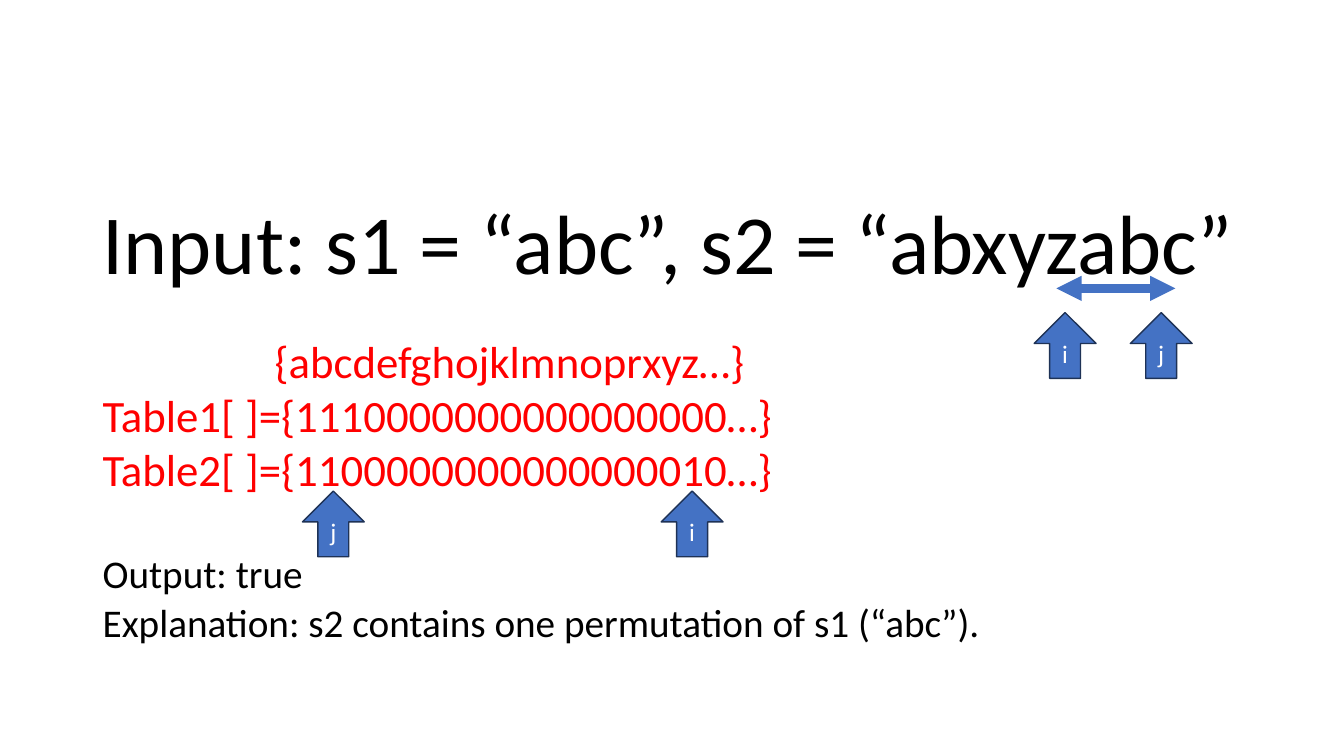
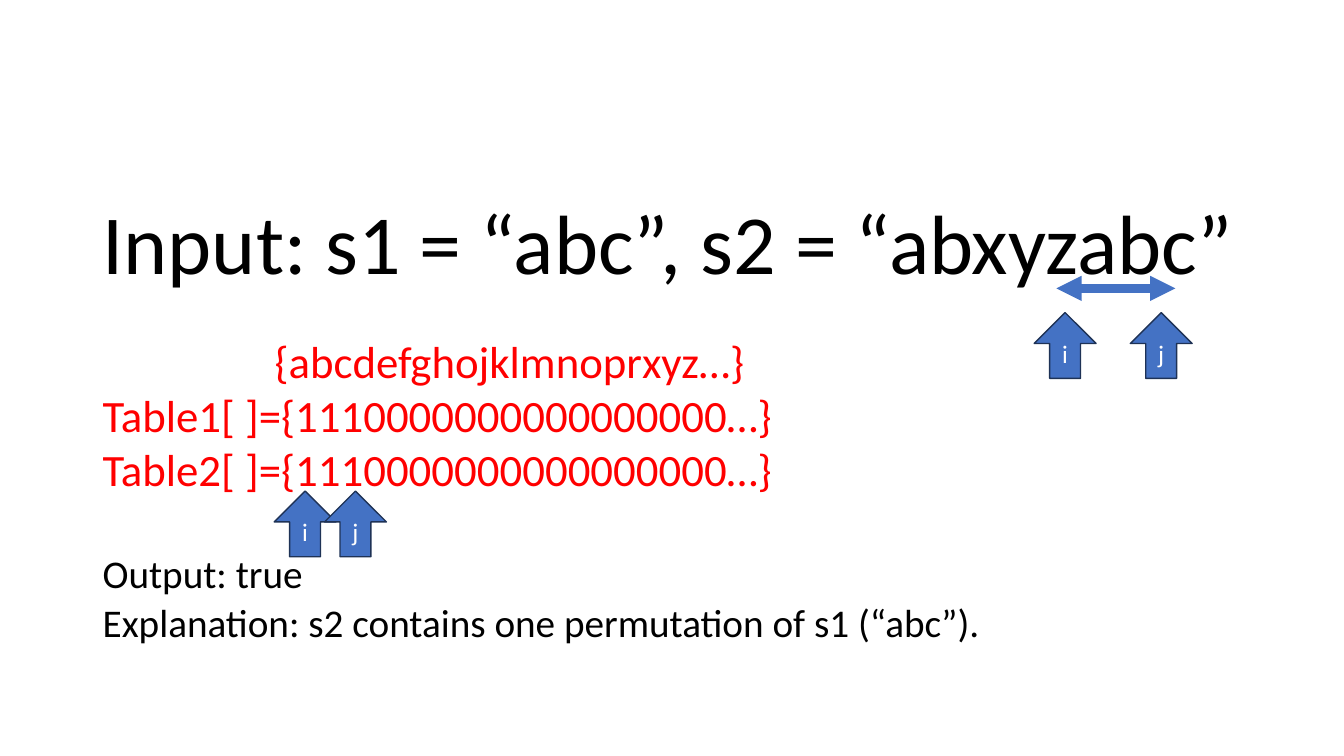
"""Build two slides that trace a sliding window over a string."""
from lxml import etree
from pptx import Presentation
from pptx.dml.color import RGBColor
from pptx.enum.shapes import MSO_CONNECTOR, MSO_SHAPE
from pptx.enum.text import PP_ALIGN
from pptx.oxml.ns import qn
from pptx.util import Inches, Pt

LINE = MSO_CONNECTOR.STRAIGHT
ARROW = MSO_SHAPE.UP_ARROW
MID = PP_ALIGN.CENTER
BLUE, EDGE, RED, BLACK, WHITE = "4472C4", "1E3256", "FF0000", "000000", "FFFFFF"

deck = Presentation()
deck.slide_width, deck.slide_height = Inches(13.33), Inches(7.5)
COL, ROW = deck.slide_width / 100, deck.slide_height / 100


def grid(*spots):
    """Turn alternating column and row counts into lengths."""
    return [int(spot * (ROW if n % 2 else COL)) for n, spot in enumerate(spots)]


def write(frame, rows, size, color, **form):
    """Fill a frame with (text, format) rows."""
    for n, (text, own) in enumerate(rows):
        para = frame.paragraphs[0] if n == 0 else frame.add_paragraph()
        style = {"size": size, **form, **own}
        if "indent" in style:
            para._p.get_or_add_pPr().set("marL", str(int(style["indent"] * COL)))
        for name in ("alignment", "space_before"):
            if name in style:
                setattr(para, name, style[name])
        run = para.add_run()
        run.text = text
        run.font.name = "Calibri"
        run.font.size = Pt(style["size"])
        run.font.color.rgb = RGBColor.from_string(color)


BODY = [
    ("Input: s1 = “abc”, s2 = “abxyzabc”", {"size": 60}),
    ("Output: true", {"space_before": Pt(184)}),
    ("Explanation: s2 contains one permutation of s1 (“abc”).", {"space_before": Pt(2)}),
]
TOP, LOW = 41.35, 64.95
INPUT = [("i", 76.95, TOP), ("j", 84.1, TOP)]
STEPS = [
    ("1100000000000000010", [("i", 49.2, LOW), ("j", 22.5, LOW)]),
    ("1110000000000000000", [("i", 20.4, LOW), ("j", 24.15, LOW)]),
]

for count, marks in STEPS:
    slide = deck.slides.add_slide(deck.slide_layouts[6])
    table = [
        ("{abcdefghojklmnoprxyz…}", {"indent": 12.8}),
        ("Table1[ ]={1110000000000000000…}", {}),
        (f"Table2[ ]={{{count}…}}", {}),
    ]
    boxes = [
        (grid(6.9, 25.2, 86.25, 61.5), BODY, 28, BLACK, 0),
        (grid(6.9, 43.5, 55, 22.9), table, 32, RED, Inches(0.05)),
    ]
    for place, rows, size, color, inset in boxes:
        frame = slide.shapes.add_textbox(*place).text_frame
        frame.word_wrap = True
        frame.margin_top = inset
        write(frame, rows, size, color)

    span = slide.shapes.add_connector(LINE, *grid(78.6, 38.15, 87.45, 38.15))
    span.line.color.rgb = RGBColor.from_string(BLUE)
    span.line.width = Pt(6)
    stroke = span.line._get_or_add_ln()
    for end in ("a:headEnd", "a:tailEnd"):
        etree.SubElement(stroke, qn(end), type="triangle")
    etree.SubElement(span._element.spPr, qn("a:effectLst"))

    for label, left, top in INPUT + marks:
        mark = slide.shapes.add_shape(ARROW, *grid(left, top, 4.6, 8.7))
        mark.shadow.inherit = False
        mark.fill.solid()
        mark.fill.fore_color.rgb = RGBColor.from_string(BLUE)
        mark.line.color.rgb = RGBColor.from_string(EDGE)
        mark.line.width = Pt(1)
        write(mark.text_frame, [(label, {})], 18, WHITE, alignment=MID)

deck.save("out.pptx")
